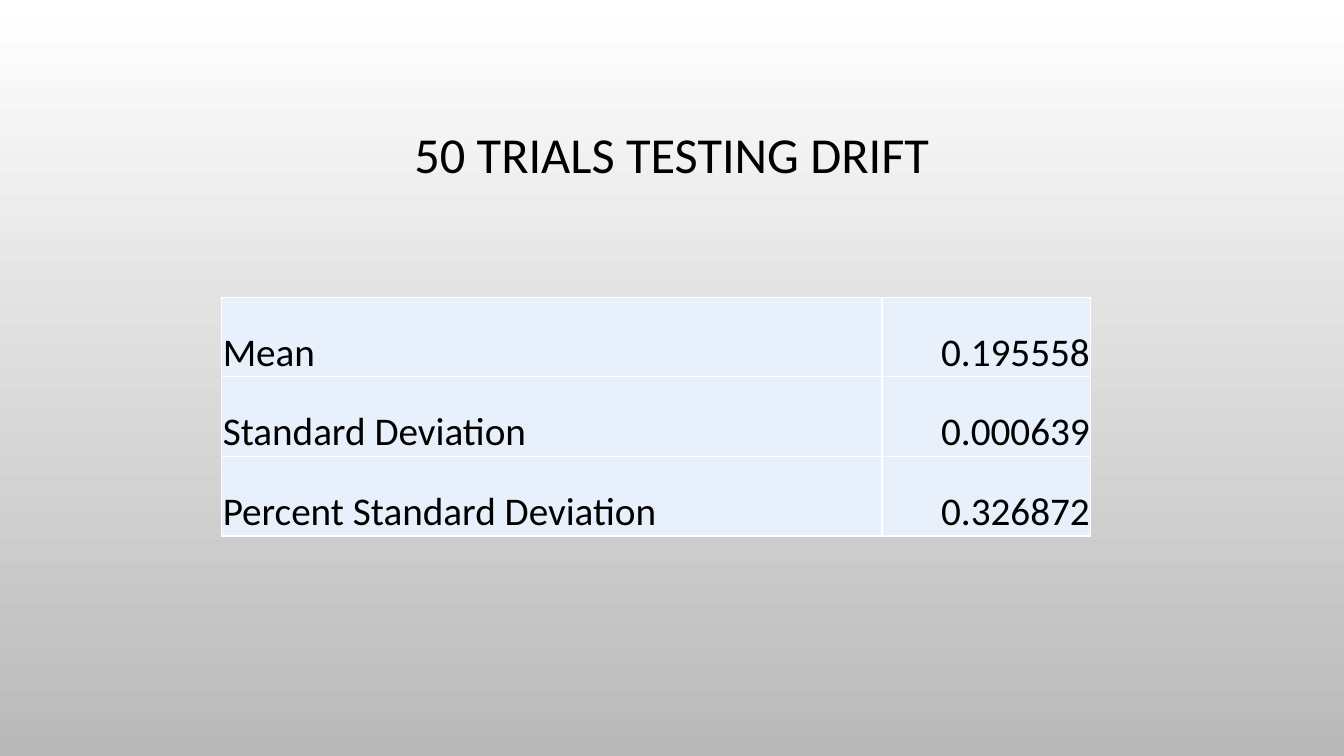
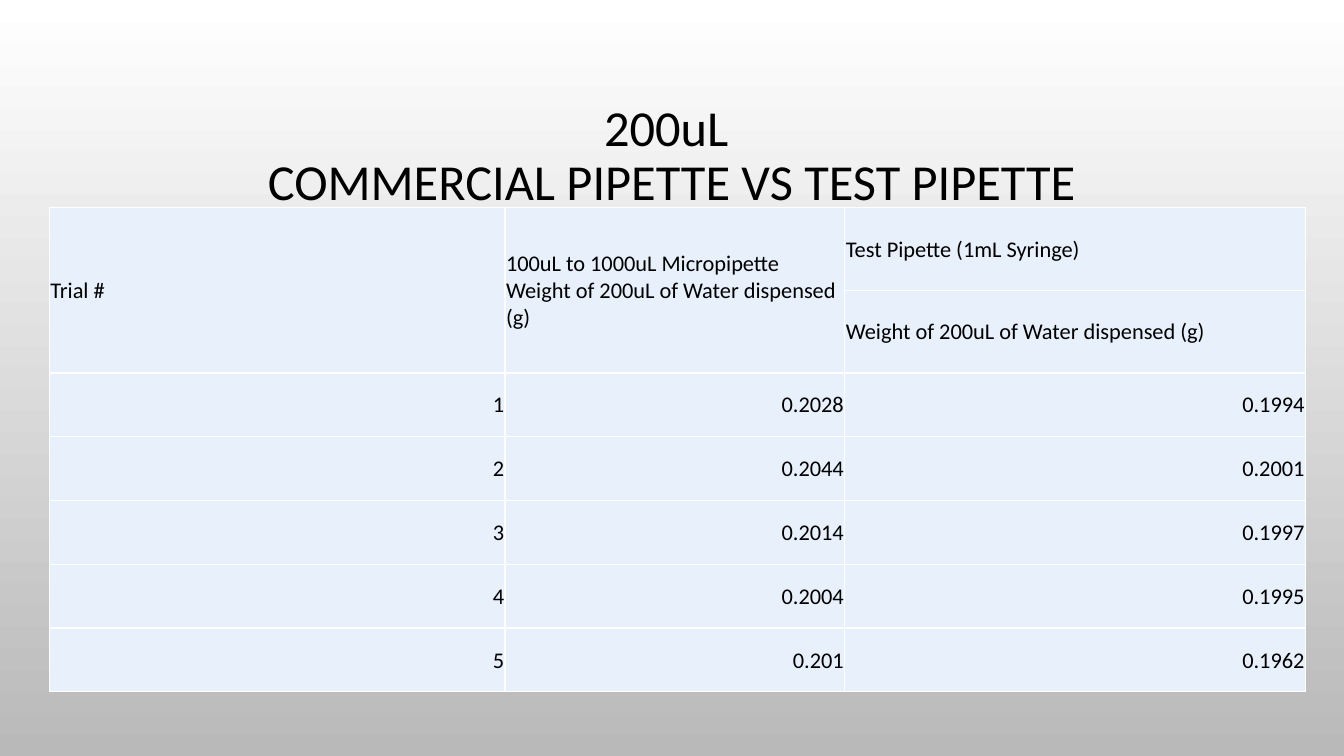
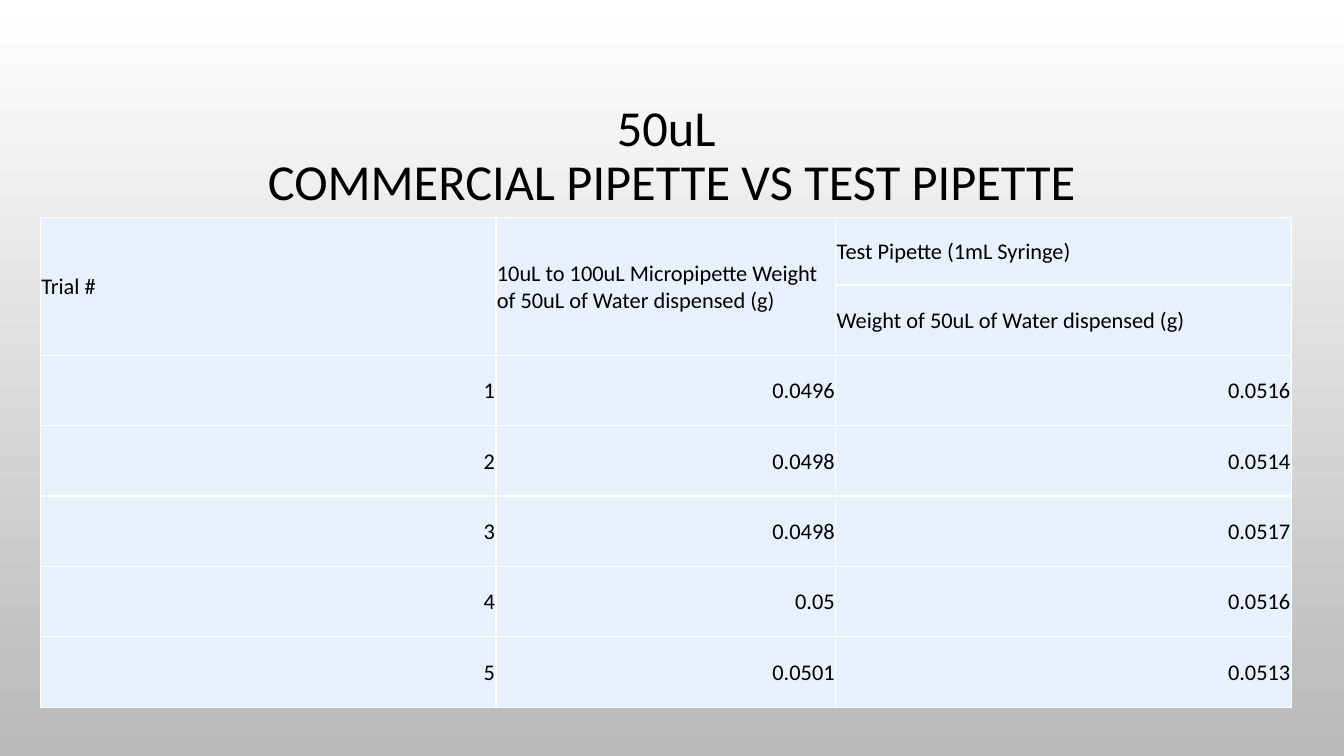
from lxml.etree import SubElement
from pptx import Presentation
from pptx.dml.color import RGBColor
from pptx.enum.text import MSO_ANCHOR, PP_ALIGN
from pptx.oxml.ns import qn
from pptx.util import Emu, Inches, Pt

FONT = "Calibri"
INK = "000000"
CELL_FILL = "E8F0FC"
BORDER = "FFFFFF"
BACKGROUND = ("FFFFFF", "B9B9B9")
SLIDE_WIDTH = Inches(13.333)
SLIDE_HEIGHT = Inches(7.5)
TITLE_BOX = (7.5, 9.1, 85, 23.33)
BLANK_LAYOUT = 6


def color(value):
    """Turn a hex string into a colour."""
    return RGBColor.from_string(value)


def across(percent):
    """Turn a percentage of the slide width into a length."""
    return Emu(round(SLIDE_WIDTH * percent / 100))


def down(percent):
    """Turn a percentage of the slide height into a length."""
    return Emu(round(SLIDE_HEIGHT * percent / 100))


def style_master(presentation):
    """Give every slide the vertical gradient background."""
    fill = presentation.slide_master.background.fill
    fill.gradient()
    fill.gradient_angle = 270
    for stop, value in zip(fill.gradient_stops, BACKGROUND):
        stop.color.rgb = color(value)


def style_paragraph(paragraph, size, alignment):
    """Set the font and alignment of a paragraph."""
    paragraph.alignment = alignment
    paragraph.font.name = FONT
    paragraph.font.size = Pt(size)
    paragraph.font.color.rgb = color(INK)


def add_title(slide, text, box=TITLE_BOX):
    """Place the centred title in its box."""
    left, top, width, height = box
    shape = slide.shapes.add_textbox(across(left), down(top), across(width), down(height))
    frame = shape.text_frame
    frame.word_wrap = True
    frame.vertical_anchor = MSO_ANCHOR.MIDDLE
    frame.text = text
    paragraph = frame.paragraphs[0]
    paragraph.line_spacing = 0.9
    style_paragraph(paragraph, 36, PP_ALIGN.CENTER)


def add_borders(cell):
    """Draw a thin line on all four sides of a cell."""
    properties = cell._tc.get_or_add_tcPr()
    for side in ("lnL", "lnR", "lnT", "lnB"):
        line = SubElement(properties, qn(f"a:{side}"), w=str(Pt(1)))
        SubElement(SubElement(line, qn("a:solidFill")), qn("a:srgbClr"), val=BORDER)


def style_cell(cell, size, anchor):
    """Set the borders, fill, margins and text style of a cell."""
    add_borders(cell)
    cell.fill.solid()
    cell.fill.fore_color.rgb = color(CELL_FILL)
    cell.margin_left = cell.margin_right = cell.margin_top = Inches(0.01)
    cell.margin_bottom = 0
    cell.vertical_anchor = anchor
    is_number = cell.text.replace(".", "").isdigit()
    alignment = PP_ALIGN.RIGHT if is_number else PP_ALIGN.LEFT
    style_paragraph(cell.text_frame.paragraphs[0], size, alignment)


def add_data_table(slide, corner, columns, rows, records, size, anchor):
    """Place a table from its corner, column widths and row heights."""
    left, top = corner
    table = slide.shapes.add_table(
        len(rows), len(columns), across(left), down(top), across(sum(columns)), down(sum(rows))
    ).table
    table.first_row = table.horz_banding = False
    for column, width in zip(table.columns, columns):
        column.width = across(width)
    for row, height, record in zip(table.rows, rows, records):
        row.height = down(height)
        for cell, text in zip(row.cells, record):
            cell.text = text
            style_cell(cell, size, anchor)
    return table


def add_slide(presentation, title):
    """Add a blank slide with a title."""
    slide = presentation.slides.add_slide(presentation.slide_layouts[BLANK_LAYOUT])
    add_title(slide, title)
    return slide


def add_drift_slide(presentation):
    """Add the slide with the drift statistics."""
    slide = add_slide(presentation, "50 TRIALS TESTING DRIFT")
    records = [
        ("Mean", "0.195558"),
        ("Standard Deviation", "0.000639"),
        ("Percent Standard Deviation", "0.326872"),
    ]
    add_data_table(
        slide, (16.5, 39.33), (49.13, 15.53), [10.53] * 3, records, 28, MSO_ANCHOR.BOTTOM
    )


def add_comparison_slide(presentation, volume, pipette_range, corner, columns, rows, weights):
    """Add a slide comparing both pipettes at one volume."""
    slide = add_slide(presentation, f"{volume} \vCOMMERCIAL PIPETTE VS TEST PIPETTE")
    weight_label = f"Weight of {volume} of Water dispensed (g)"
    records = [
        ("Trial #", f"{pipette_range} Micropipette {weight_label}", "Test Pipette (1mL Syringe)"),
        ("", "", weight_label),
    ]
    records += [(str(trial), *pair) for trial, pair in enumerate(weights, 1)]
    table = add_data_table(slide, corner, columns, rows, records, 16, MSO_ANCHOR.MIDDLE)
    for column in range(2):
        table.cell(0, column).merge(table.cell(1, column))


def main():
    """Build and save the presentation."""
    presentation = Presentation()
    presentation.slide_width = SLIDE_WIDTH
    presentation.slide_height = SLIDE_HEIGHT
    style_master(presentation)
    add_drift_slide(presentation)
    add_comparison_slide(
        presentation, "200uL", "100uL to 1000uL",
        (3.68, 27.47), (33.9, 25.28, 34.28), [10.93] * 2 + [8.44] * 5,
        [
            ("0.2028", "0.1994"),
            ("0.2044", "0.2001"),
            ("0.2014", "0.1997"),
            ("0.2004", "0.1995"),
            ("0.201", "0.1962"),
        ],
    )
    add_comparison_slide(
        presentation, "50uL", "10uL to 100uL",
        (3, 28.8), (33.9, 25.28, 33.9), [8.9] + [9.31] * 6,
        [
            ("0.0496", "0.0516"),
            ("0.0498", "0.0514"),
            ("0.0498", "0.0517"),
            ("0.05", "0.0516"),
            ("0.0501", "0.0513"),
        ],
    )
    presentation.save("out.pptx")


if __name__ == "__main__":
    main()
